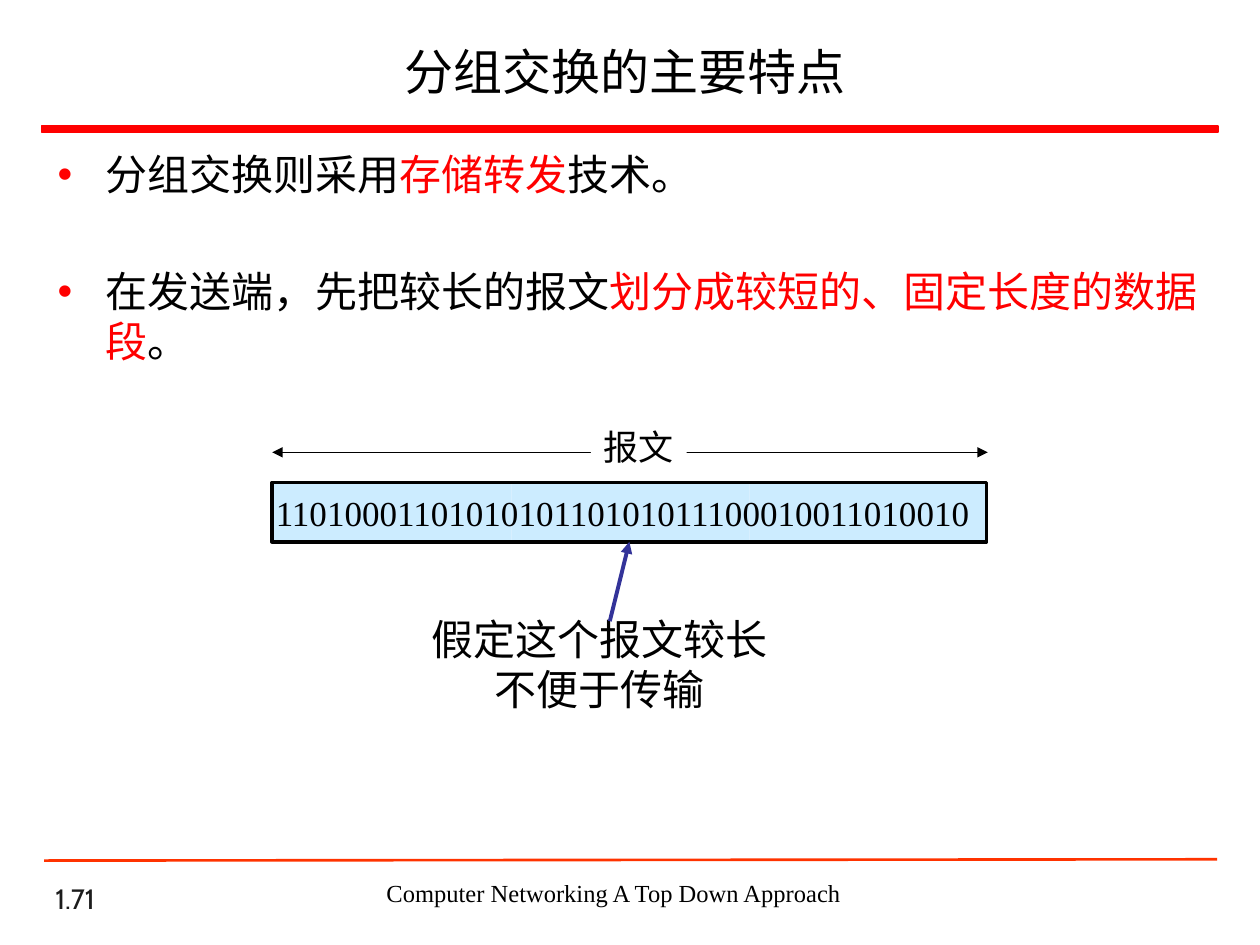
from dataclasses import dataclass
from typing import Optional

from lxml.etree import SubElement
from pptx import Presentation
from pptx.dml.color import RGBColor
from pptx.enum.shapes import MSO_CONNECTOR as Connector, MSO_SHAPE as Preset
from pptx.enum.text import MSO_ANCHOR as Anchor, MSO_AUTO_SIZE as AutoSize, PP_ALIGN as Align
from pptx.oxml.ns import qn
from pptx.util import Inches, Pt


@dataclass(frozen=True)
class Theme:
    black: str = "000000"
    white: str = "FFFFFF"
    red: str = "FF0000"
    footer_line: str = "FF3300"
    page_number: str = "1C1C1C"
    message: str = "CCECFF"
    pointer: str = "333399"
    sans: str = "Cabin"
    serif: str = "Times New Roman"
    title: int = 28
    body: int = 24
    label: int = 20
    number: int = 16
    footer: int = 14


THEME = Theme()


@dataclass(frozen=True)
class Area:
    left: float
    top: float
    width: float
    height: float

    def lengths(self) -> list:
        return [Inches(v) for v in (self.left, self.top, self.width, self.height)]


@dataclass(frozen=True)
class Span:
    text: str
    color: str = THEME.black


@dataclass(frozen=True)
class TextStyle:
    size: int
    font: str = THEME.sans
    align: Align = Align.LEFT
    anchor: Anchor = Anchor.TOP
    wrap: bool = True
    bullet: Optional[str] = None
    space_before: int = 0


def apply(target, values: dict) -> None:
    for name, value in values.items():
        setattr(target, name, value)


def add_rect(page, area: Area, fill: Optional[str] = None,
             line: Optional[str] = None, weight: float = 1):
    box = page.shapes.add_shape(Preset.RECTANGLE, *area.lengths())
    box.shadow.inherit = False
    if fill:
        box.fill.solid()
        box.fill.fore_color.rgb = RGBColor.from_string(fill)
    else:
        box.fill.background()
    if line:
        box.line.color.rgb = RGBColor.from_string(line)
        box.line.width = Pt(weight)
    else:
        box.line.fill.background()
    return box


def set_bullet(para, color: str, indent: float = 0.38) -> None:
    props = para._p.get_or_add_pPr()
    props.set("marL", str(Inches(indent)))
    props.set("indent", str(-Inches(indent)))
    SubElement(SubElement(props, qn("a:buClr")), qn("a:srgbClr"), val=color)
    SubElement(props, qn("a:buFont"), typeface="Arial")
    SubElement(props, qn("a:buChar"), char="•")


def write(box, paragraphs: list[list[Span]], style: TextStyle) -> None:
    frame = box.text_frame
    apply(frame, {
        "word_wrap": style.wrap,
        "vertical_anchor": style.anchor,
        "auto_size": AutoSize.NONE if style.wrap else AutoSize.SHAPE_TO_FIT_TEXT,
    })
    for index, spans in enumerate(paragraphs):
        para = frame.add_paragraph() if index else frame.paragraphs[0]
        apply(para, {"alignment": style.align,
                     "space_before": Pt(style.space_before if index else 0)})
        if style.bullet:
            set_bullet(para, style.bullet)
        for span in spans:
            run = para.add_run()
            run.text = span.text
            apply(run.font, {"size": Pt(style.size), "name": style.font})
            run.font.color.rgb = RGBColor.from_string(span.color)


def add_text(page, area: Area, paragraphs: list[list[Span]], style: TextStyle) -> None:
    write(page.shapes.add_textbox(*area.lengths()), paragraphs, style)


def add_line(page, start: tuple, end: tuple, color: str, weight: float,
             arrows: tuple = ()):
    """Draw a straight line; arrows names its arrowed ends, headEnd before tailEnd."""
    points = [Inches(v) for v in (*start, *end)]
    line = page.shapes.add_connector(Connector.STRAIGHT, *points)
    line.line.color.rgb = RGBColor.from_string(color)
    line.line.width = Pt(weight)
    for arrow in arrows:
        SubElement(line.line._get_or_add_ln(), qn(f"a:{arrow}"), type="triangle")
    SubElement(line._element.spPr, qn("a:effectLst"))
    return line


def add_frame(page) -> None:
    """Draw the title, the rules and the footer."""
    add_text(page, Area(0.34, 6.98, 2.08, 0.33), [[Span("1.71", THEME.page_number)]],
             TextStyle(THEME.number, anchor=Anchor.BOTTOM))
    add_rect(page, Area(0.33, 1, 9.34, 0.05), THEME.red, THEME.red)
    add_line(page, (0.35, 6.83), (9.66, 6.82), THEME.footer_line, 1.5)
    add_text(page, Area(2.83, 6.92, 4.08, 0.34),
             [[Span("Computer Networking A Top Down Approach")]],
             TextStyle(THEME.footer, THEME.serif, Align.CENTER))
    add_text(page, Area(0.34, 0.22, 9.33, 0.69), [[Span("分组交换的主要特点 ")]],
             TextStyle(THEME.title, align=Align.CENTER, anchor=Anchor.MIDDLE))


def add_points(page) -> None:
    points = [
        [Span("分组交换则采用"), Span("存储转发", THEME.red), Span("技术。")],
        [Span("在发送端，先把较长的报文"),
         Span("划分成较短的、固定长度的数据段", THEME.red), Span("。")],
    ]
    add_text(page, Area(0.36, 1.13, 9.25, 2.16), points,
             TextStyle(THEME.body, bullet=THEME.red, space_before=38))


def add_message(page) -> None:
    """Draw the long message with its length mark and its note."""
    label_style = TextStyle(THEME.label, THEME.serif, wrap=False)
    add_line(page, (2.16, 3.59), (7.84, 3.59), THEME.black, 0.75, ("headEnd", "tailEnd"))
    label = add_rect(page, Area(4.69, 3.33, 0.76, 0.43), THEME.white)
    write(label, [[Span("报文")]], label_style)

    top, height, part_width = 3.83, 0.47, 1.89
    for part in range(3):
        add_rect(page, Area(2.17 + part * part_width, top, part_width, height), THEME.message)
    outline = add_rect(page, Area(2.16, top, 3 * part_width, height),
                       line=THEME.black, weight=2.25)
    add_text(page, Area(2.09, 3.85, 5.75, 0.44),
             [[Span("1101000110101010110101011100010011010010")]], label_style)

    add_text(page, Area(3.31, 4.82, 2.89, 0.91),
             [[Span("假定这个报文较长")], [Span("不便于传输")]],
             TextStyle(THEME.body, align=Align.CENTER, wrap=False))
    pointer = add_line(page, (4.84, 4.93), (5, 4.3), THEME.pointer, 2.25, ("tailEnd",))
    pointer.end_connect(outline, 2)


def main() -> None:
    deck = Presentation()
    apply(deck, {"slide_width": Inches(10), "slide_height": Inches(7.5)})
    page = deck.slides.add_slide(deck.slide_layouts[6])
    page.background.fill.solid()
    page.background.fill.fore_color.rgb = RGBColor.from_string(THEME.white)
    add_frame(page)
    add_points(page)
    add_message(page)
    deck.save("out.pptx")


if __name__ == "__main__":
    main()
